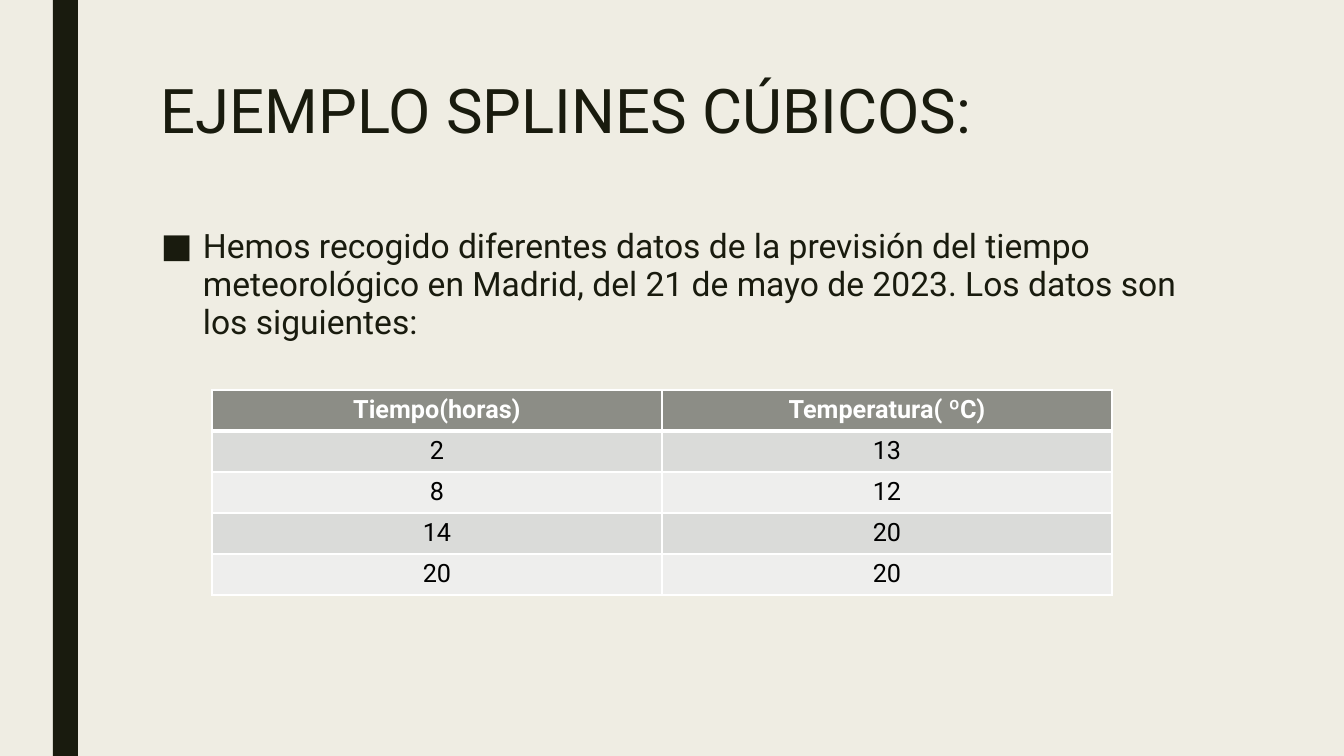
from dataclasses import dataclass

from lxml.etree import SubElement
from pptx import Presentation
from pptx.dml.color import RGBColor as RGB
from pptx.enum.shapes import MSO_SHAPE as Shape
from pptx.enum.text import MSO_ANCHOR as Anchor, PP_ALIGN as Align
from pptx.oxml.ns import qn
from pptx.util import Emu, Pt

EMU_PER_PX = 914400 / 100.8


@dataclass(frozen=True)
class Theme:
    font: str = "Roboto"
    paper: str = "EFEDE3"
    ink: str = "191B0E"
    white: str = "FFFFFF"
    black: str = "000000"
    header: str = "8C8D86"
    bands: tuple[str, str] = ("DADBD9", "EEEEED")
    title_size: int = 44
    body_size: int = 24
    cell_size: int = 18


@dataclass(frozen=True)
class Box:
    x: int
    y: int
    w: int
    h: int

    def emu(self) -> tuple[Emu, ...]:
        return tuple(px(v) for v in (self.x, self.y, self.w, self.h))


@dataclass(frozen=True)
class RowStyle:
    fill: str
    color: str
    bold: bool = False
    bottom: int = 1


def px(n: int) -> Emu:
    return Emu(round(n * EMU_PER_PX))


def write(tf, text: str, *, size: int, color: str, bold: bool = False,
          align=Align.LEFT, spacing: float = 1.0):
    p = tf.paragraphs[0]
    p.alignment = align
    p.line_spacing = spacing
    r = p.add_run()
    r.text = text
    r.font.name = THEME.font
    r.font.size = Pt(size)
    r.font.bold = bold
    r.font.color.rgb = RGB.from_string(color)
    return p


def add_text(s, box: Box, text: str, **fmt):
    tf = s.shapes.add_textbox(*box.emu()).text_frame
    tf.word_wrap = True
    tf.vertical_anchor = Anchor.TOP
    return write(tf, text, **fmt)


def add_bullet(p, char: str, indent: int) -> None:
    p_pr = p._p.get_or_add_pPr()
    p_pr.set("marL", str(px(indent)))
    p_pr.set("indent", str(-px(indent)))
    SubElement(p_pr, qn("a:buFont"), typeface=THEME.font)
    SubElement(p_pr, qn("a:buChar"), char=char)


def set_borders(cell, color: str, widths: dict[str, int]) -> None:
    tc_pr = cell._tc.get_or_add_tcPr()
    for i, (side, width) in enumerate(widths.items()):
        ln = tc_pr.makeelement(qn(f"a:ln{side}"), {"w": str(Pt(width))})
        fill = SubElement(ln, qn("a:solidFill"))
        SubElement(fill, qn("a:srgbClr"), val=color)
        tc_pr.insert(i, ln)


def row_style(row: int) -> RowStyle:
    if row == 0:
        return RowStyle(THEME.header, THEME.white, bold=True, bottom=3)
    return RowStyle(THEME.bands[(row - 1) % 2], THEME.black)


def add_data_table(s, box: Box, rows: list[tuple[str, str]]) -> None:
    table = s.shapes.add_table(len(rows), len(rows[0]), *box.emu()).table
    for i, values in enumerate(rows):
        style = row_style(i)
        top = row_style(i - 1).bottom if i else 1
        for j, value in enumerate(values):
            cell = table.cell(i, j)
            cell.fill.solid()
            cell.fill.fore_color.rgb = RGB.from_string(style.fill)
            write(cell.text_frame, value, size=THEME.cell_size,
                  color=style.color, bold=style.bold, align=Align.CENTER)
            set_borders(cell, THEME.white,
                        {"L": 1, "R": 1, "T": top, "B": style.bottom})


THEME = Theme()
SLIDE = Box(0, 0, 1344, 756)
STRIPE = Box(53, 0, 25, SLIDE.h)
TITLE = Box(151, 76, 1058, 163)
BODY = Box(151, 223, 1058, 140)
TABLE = Box(212, 390, 900, 205)
FORECAST = [
    ("Tiempo(horas)", "Temperatura( ºC)"),
    ("2", "13"),
    ("8", "12"),
    ("14", "20"),
    ("20", "20"),
]

prs = Presentation()
prs.slide_width, prs.slide_height = px(SLIDE.w), px(SLIDE.h)
s = prs.slides.add_slide(prs.slide_layouts[6])
s.background.fill.solid()
s.background.fill.fore_color.rgb = RGB.from_string(THEME.paper)

stripe = s.shapes.add_shape(Shape.RECTANGLE, *STRIPE.emu())
stripe.shadow.inherit = False
stripe.fill.solid()
stripe.fill.fore_color.rgb = RGB.from_string(THEME.ink)
stripe.line.fill.background()

add_text(s, TITLE, "EJEMPLO SPLINES CÚBICOS:",
         size=THEME.title_size, color=THEME.ink, spacing=0.89)
p = add_text(s, BODY,
             "Hemos recogido diferentes datos de la previsión del tiempo "
             "meteorológico en Madrid, del 21 de mayo de 2023. Los datos son "
             "los siguientes:",
             size=THEME.body_size, color=THEME.ink, spacing=0.94)
p.space_before, p.space_after = Pt(10), Pt(2)
add_bullet(p, "■", 42)
add_data_table(s, TABLE, FORECAST)

prs.save("out.pptx")
